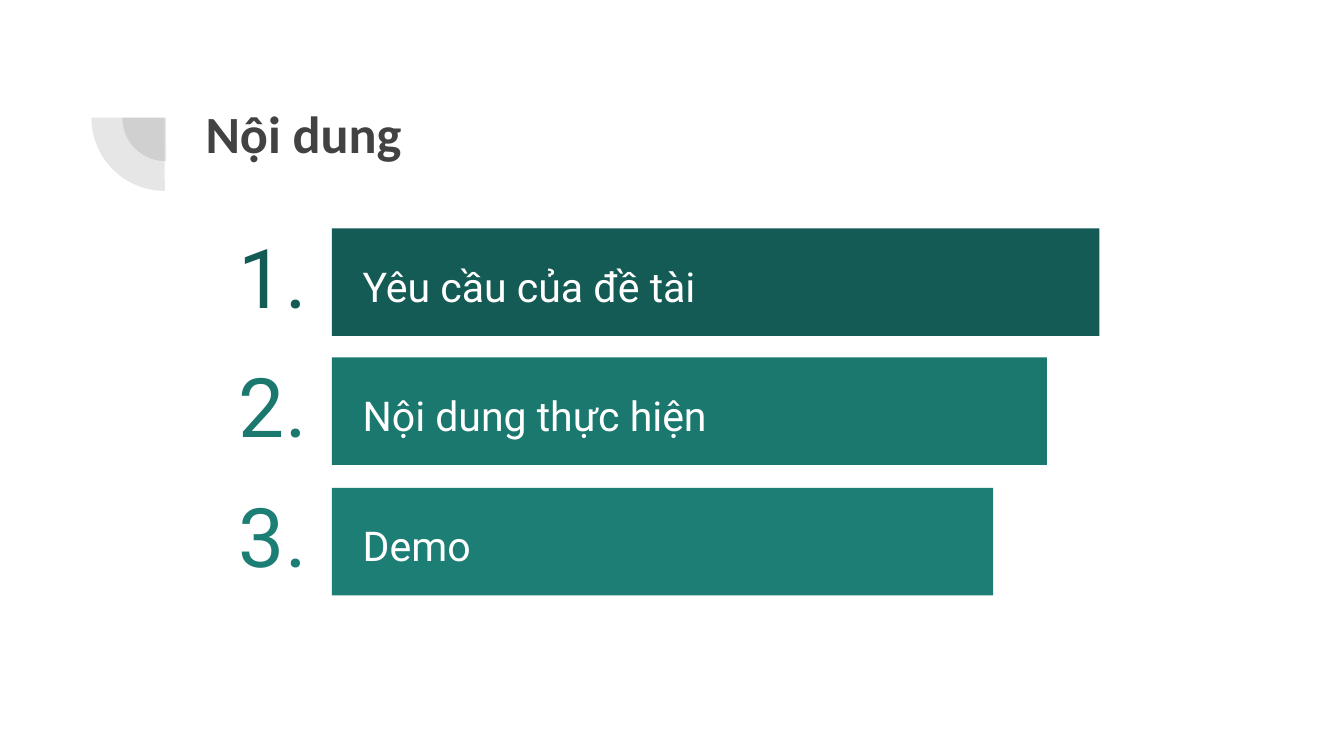
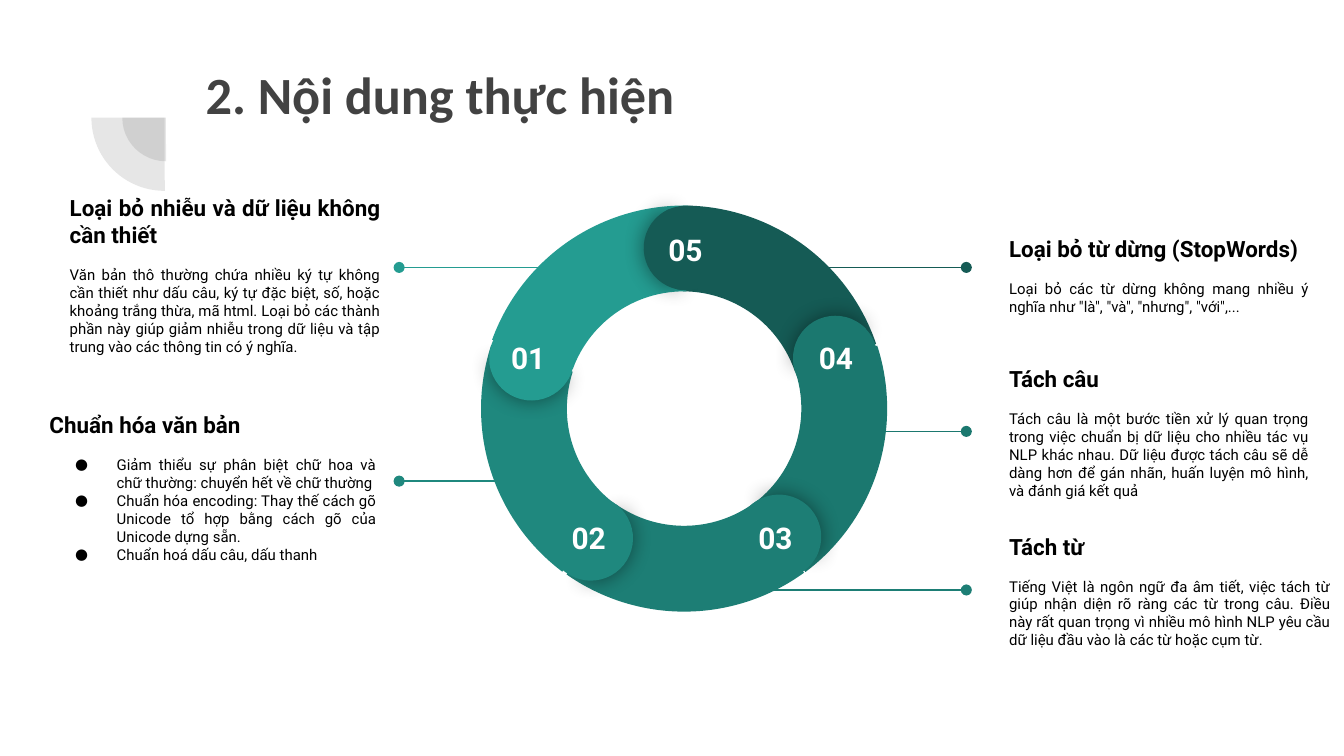
"""Build an agenda slide and a five-step ring slide on text preprocessing."""
from lxml.etree import SubElement
from pptx import Presentation
from pptx.dml.color import RGBColor
from pptx.enum.shapes import MSO_CONNECTOR, MSO_SHAPE
from pptx.enum.text import MSO_ANCHOR, PP_ALIGN
from pptx.oxml.ns import qn
from pptx.util import Pt

PX = 9144
COLORS = {
    "title": "424242", "text": "000000", "white": "FFFFFF",
    "step1": "249C91", "step2": "1F887E", "step3": "1D7E75",
    "step4": "1B786F", "step5": "155B55",
}
HEADING_FONT, BODY_FONT = "Calibri", "Roboto"
CORNER_PIE = (107.93, 162)
CAP_SHADOW_PIE = (61.9, 149.96)
CAP_PIE = (40.28, 171.84)
RING_ARC = (126.03, 168.68, 0.21)
AGENDA = [
    ("1.", "Yêu cầu của đề tài", "step5", 521),
    ("2.", "Nội dung thực hiện", "step4", 478),
    ("3.", "Demo", "step3", 421),
]
LEFT_NOTES = [
    ((42, 154, 251), "Loại bỏ nhiễu và dữ liệu không cần thiết",
     ["Văn bản thô thường chứa nhiều ký tự không cần thiết như dấu câu, ký tự đặc biệt, số, "
      "hoặc khoảng trắng thừa, mã html. Loại bỏ các thành phần này giúp giảm nhiễu trong dữ "
      "liệu và tập trung vào các thông tin có ý nghĩa."]),
    ((27, 312, 263), "Chuẩn hóa văn bản",
     ["Giảm thiểu sự phân biệt chữ hoa và chữ thường: chuyển hết về chữ thường",
      "Chuẩn hóa encoding: Thay thế cách gõ Unicode tổ hợp bằng cách gõ của Unicode dựng sẵn.",
      "Chuẩn hoá dấu câu, dấu thanh"]),
]
RIGHT_NOTES = [
    ((741, 389, 259), "Tách từ",
     ["Tiếng Việt là ngôn ngữ đa âm tiết, việc tách từ giúp nhận diện rõ ràng các từ trong "
      "câu. Điều này rất quan trọng vì nhiều mô hình NLP yêu cầu dữ liệu đầu vào là các từ "
      "hoặc cụm từ."]),
    ((741, 154, 243), "Loại bỏ từ dừng (StopWords)",
     ['Loại bỏ các từ dừng không mang nhiều ý nghĩa như "là", "và", "nhưng", "với",...']),
    ((741, 271, 243), "Tách câu",
     ["Tách câu là một bước tiền xử lý quan trọng trong việc chuẩn bị dữ liệu cho nhiều tác "
      "vụ NLP khác nhau. Dữ liệu được tách câu sẽ dễ dàng hơn để gán nhãn, huấn luyện mô "
      "hình, và đánh giá kết quả"]),
]
LEADERS = [
    (431, 297, 199, "step1"), (399, 297, 358, "step2"), (518, 719, 439, "step3"),
    (622, 719, 321, "step4"), (578, 719, 199, "step5"),
]


def px(*lengths):
    """Turn pixel lengths into EMU."""
    return [length * PX for length in lengths]


def rgb(name):
    """Look up a named colour."""
    return RGBColor.from_string(COLORS[name])


def add_run(paragraph, text, size, color, bold=False, font=BODY_FONT):
    """Append one formatted run."""
    run = paragraph.add_run()
    run.text = text
    run.font.name, run.font.size, run.font.bold = font, Pt(size), bold
    run.font.color.rgb = rgb(color)


def set_frame(frame, anchor, vertical_inset=10):
    """Set wrapping, anchor and insets of a text frame."""
    frame.word_wrap = True
    frame.vertical_anchor = anchor
    frame.margin_left, frame.margin_right = px(10, 10)
    frame.margin_top, frame.margin_bottom = px(vertical_inset, vertical_inset)


def add_text(slide, box, text, size, color, align, bold=False,
             anchor=MSO_ANCHOR.MIDDLE, vertical_inset=5, spacing=1.0):
    """Add a text box with one line."""
    frame = slide.shapes.add_textbox(*px(*box)).text_frame
    set_frame(frame, anchor, vertical_inset)
    paragraph = frame.paragraphs[0]
    paragraph.alignment, paragraph.line_spacing = align, spacing
    add_run(paragraph, text, size, color, bold)


def add_block(slide, kind, box, color, rotation=0, adjustments=(), alpha=None, blur=None):
    """Add a filled preset shape, optionally translucent or with a soft shadow."""
    shape = slide.shapes.add_shape(kind, *px(*box))
    shape.rotation = rotation
    for index, value in enumerate(adjustments):
        shape.adjustments[index] = value
    shape.fill.solid()
    shape.fill.fore_color.rgb = rgb(color)
    shape.line.fill.background()
    shape.shadow.inherit = False
    properties = shape.element.spPr
    if alpha:
        fill_color = properties.find(qn("a:solidFill")).find(qn("a:srgbClr"))
        SubElement(fill_color, qn("a:alpha"), val=str(alpha * 1000))
    if blur:
        shadow = SubElement(properties.find(qn("a:effectLst")), qn("a:outerShdw"),
                            blurRad=str(Pt(blur)), dist="0", dir="0",
                            algn="ctr", rotWithShape="0")
        shadow_color = SubElement(shadow, qn("a:srgbClr"), val=COLORS["text"])
        SubElement(shadow_color, qn("a:alpha"), val="43000")


def add_titled_slide(presentation, title, top):
    """Add a slide with the corner ornament and its title."""
    slide = presentation.slides.add_slide(presentation.slide_layouts[5])
    for box in ((91, 55, 65, 65), (68, 33, 109, 109)):
        add_block(slide, MSO_SHAPE.PIE, box, "title", 270, CORNER_PIE, alpha=13)
    placeholder = slide.shapes.title
    placeholder.left, placeholder.top, placeholder.width, placeholder.height = px(143, top, 769, 109)
    set_frame(placeholder.text_frame, MSO_ANCHOR.TOP)
    paragraph = placeholder.text_frame.paragraphs[0]
    paragraph.alignment = PP_ALIGN.LEFT
    add_run(paragraph, title, 28, "title", True, HEADING_FONT)
    return slide


def add_agenda_item(slide, index, number, label, color, label_width):
    """Add a numbered bar, each shorter than the one above."""
    top = 170 + 193 * index // 2
    bar_width = 571 - 79 * index // 2
    add_text(slide, (19, top + 5, 219, 69), number, 44, color, PP_ALIGN.RIGHT, spacing=0.9)
    add_block(slide, MSO_SHAPE.RECTANGLE, (247, top, bar_width, 80), color)
    add_text(slide, (260, top + 22, label_width, 36), label, 22, "white",
             PP_ALIGN.LEFT, spacing=1.15)


def add_bullet(paragraph):
    """Give a paragraph a round bullet and a hanging indent."""
    properties = paragraph._p.get_or_add_pPr()
    left, hanging = px(50, 31)
    properties.set("marL", str(left))
    properties.set("indent", str(-hanging))
    bullet_color = SubElement(properties, qn("a:buClr"))
    SubElement(bullet_color, qn("a:srgbClr"), val=COLORS["text"])
    SubElement(properties, qn("a:buSzPts"), val="800")
    SubElement(properties, qn("a:buFont"), typeface=BODY_FONT)
    SubElement(properties, qn("a:buChar"), char="●")


def add_note(slide, place, heading, lines, heading_align):
    """Add a heading with one body paragraph or several bullets."""
    frame = slide.shapes.add_textbox(*px(*place, 101)).text_frame
    set_frame(frame, MSO_ANCHOR.MIDDLE)
    paragraph = frame.paragraphs[0]
    paragraph.alignment, paragraph.space_after = heading_align, Pt(9.4)
    add_run(paragraph, heading, 12, "text", True)
    for line in lines:
        paragraph = frame.add_paragraph()
        paragraph.alignment = PP_ALIGN.JUSTIFY
        if len(lines) > 1:
            add_bullet(paragraph)
        else:
            paragraph.space_after = Pt(16)
        add_run(paragraph, line, 8, "text")


def add_leader(slide, start, end, top, color):
    """Add a horizontal line ending in a dot."""
    connector = slide.shapes.add_connector(MSO_CONNECTOR.STRAIGHT, *px(start, top, end, top))
    connector.line.color.rgb = rgb(color)
    connector.line.width = Pt(0.75)
    line = connector.element.spPr.find(qn("a:ln"))
    SubElement(line, qn("a:tailEnd"), type="oval")
    SubElement(connector.element.spPr, qn("a:effectLst"))


def add_arc(slide, left, top, rotation, color):
    """Add one segment of the ring."""
    add_block(slide, MSO_SHAPE.BLOCK_ARC, (left, top, 304, 304), color, rotation, RING_ARC)


def add_cap(slide, left, top, rotation, step):
    """Add the round, shadowed end of a segment."""
    box, color = (left, top, 63, 63), f"step{step}"
    add_block(slide, MSO_SHAPE.PIE, box, color, rotation, CAP_SHADOW_PIE, blur=11.2)
    add_block(slide, MSO_SHAPE.PIE, box, color, (rotation + 179.3) % 360, CAP_PIE)


def add_ring(slide):
    """Stack segments and caps so that each cap overlaps the next segment."""
    add_arc(slide, 358, 152, 277, "step2")
    add_arc(slide, 356, 152, 132, "step4")
    add_arc(slide, 356, 153, 60, "step5")
    add_cap(slide, 590, 235, 67.1, 4)
    add_arc(slide, 357, 151, 204, "step3")
    add_cap(slide, 408, 369, 211.1, 2)
    add_arc(slide, 357, 153, 350, "step1")
    add_cap(slide, 479, 153, 357.1, 5)
    add_cap(slide, 548, 368, 139.1, 3)
    add_cap(slide, 364, 235, 284.1, 1)
    label_places = [(365, 243), (410, 377), (549, 377), (594, 243), (482, 162)]
    for step, (left, top) in enumerate(label_places, 1):
        add_text(slide, (left, top, 56, 29), f"{step:02}", 16, "white", PP_ALIGN.CENTER,
                 bold=True, anchor=MSO_ANCHOR.TOP, vertical_inset=10)


def main():
    """Build both slides and save them."""
    presentation = Presentation()
    presentation.slide_width, = px(1000)
    presentation.slide_height = presentation.slide_width * 9 // 16

    slide = add_titled_slide(presentation, "Nội dung", 65)
    for index, item in enumerate(AGENDA):
        add_agenda_item(slide, index, *item)

    slide = add_titled_slide(presentation, "2. Nội dung thực hiện", 36)
    for leader in LEADERS:
        add_leader(slide, *leader)
    for note in LEFT_NOTES:
        add_note(slide, *note, PP_ALIGN.JUSTIFY)
    for note in RIGHT_NOTES:
        add_note(slide, *note, PP_ALIGN.LEFT)
    add_ring(slide)

    presentation.save("out.pptx")


if __name__ == "__main__":
    main()
